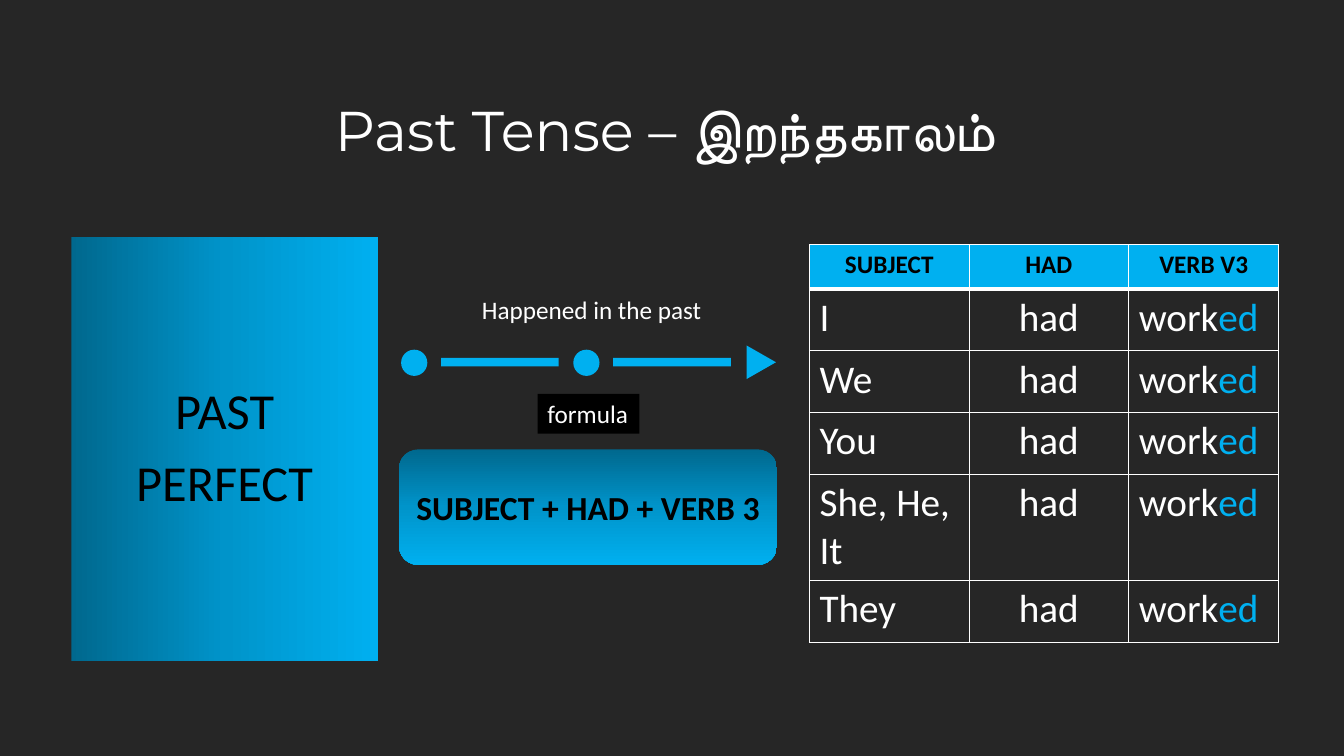
import copy
import dataclasses

import lxml.etree
import pptx
import pptx.dml.color
import pptx.enum.shapes
import pptx.enum.text
import pptx.oxml.ns
import pptx.util

PX = 9525
SHAPE = pptx.enum.shapes.MSO_SHAPE
ALIGN = pptx.enum.text.PP_ALIGN
ANCHOR = pptx.enum.text.MSO_ANCHOR
qn = pptx.oxml.ns.qn


@dataclasses.dataclass(frozen=True)
class Theme:
    """Colours, fonts and type sizes of the slide."""
    background: str = "262626"
    accent: str = "00B0F0"
    gradient: tuple = ("00688E", "0094CA", "00B0F0")
    dark: str = "000000"
    light: str = "FFFFFF"
    title_font: str = "Montserrat"
    body_font: str = "Calibri"
    title: int = 40
    tense: int = 36
    cell: int = 28
    formula: int = 24
    small: int = 18


THEME = Theme()


def rgb(value):
    """Return the colour for a hex string."""
    return pptx.dml.color.RGBColor.from_string(value)


def emu(box):
    """Turn a box in px into EMU lengths."""
    return [length * PX for length in box]


def add_run(paragraph, text, size, color, bold=False, font=THEME.body_font):
    """Add one formatted run to a paragraph."""
    run = paragraph.add_run()
    run.text = text
    run.font.name = font
    run.font.size = pptx.util.Pt(size)
    run.font.bold = bold
    run.font.color.rgb = rgb(color)


def add_plain_shape(shapes, preset, box, color):
    """Add a flat shape without outline or shadow."""
    shape = shapes.add_shape(preset, *emu(box))
    shape.shadow.inherit = False
    shape.line.fill.background()
    shape.fill.solid()
    shape.fill.fore_color.rgb = rgb(color)
    return shape


def add_gradient_shape(shapes, preset, box, angle):
    """Add a flat shape with the three-stop accent gradient."""
    shape = add_plain_shape(shapes, preset, box, THEME.accent)
    shape.fill.gradient()
    shape.fill.gradient_angle = angle
    first_stop = shape._element.spPr.find(".//" + qn("a:gs"))
    first_stop.addnext(copy.deepcopy(first_stop))
    for index, (stop, color) in enumerate(zip(shape.fill.gradient_stops, THEME.gradient)):
        stop.position = index / 2
        stop.color.rgb = rgb(color)
    return shape


def add_caption(slide, box, text, size, font=THEME.body_font):
    """Add one centred line of light text."""
    frame = slide.shapes.add_textbox(*emu(box)).text_frame
    frame.word_wrap = True
    caption = frame.paragraphs[0]
    caption.alignment = ALIGN.CENTER
    add_run(caption, text, size, THEME.light, font=font)


def add_tense_panel(slide, box, words):
    """Add the tall panel that names the tense."""
    panel = add_gradient_shape(slide.shapes, SHAPE.RECTANGLE, box, 0)
    frame = panel.text_frame
    frame.word_wrap = True
    frame.vertical_anchor = ANCHOR.MIDDLE
    for index, word in enumerate(words):
        line = frame.add_paragraph() if index else frame.paragraphs[0]
        line.alignment = ALIGN.CENTER
        line.line_spacing = 0.9
        line.space_after = pptx.util.Pt(12.6)
        add_run(line, word, THEME.tense, THEME.dark)


def add_timeline(slide, box):
    """Add two dot-and-bar steps that end in an arrowhead."""
    left, top, width, height = box
    step, dot, bar_width, bar_height = 164, 25, 112, 8
    middle = top + height // 2
    timeline = slide.shapes.add_group_shape().shapes
    for start in (left, left + step):
        add_plain_shape(timeline, SHAPE.OVAL,
                        (start, middle - dot // 2, dot, dot), THEME.accent)
        add_plain_shape(timeline, SHAPE.RECTANGLE,
                        (start + 38, middle - bar_height // 2, bar_width, bar_height), THEME.accent)
    tip_width, tip_height = 32, 28
    tip_box = (left + width - (tip_width + tip_height) // 2, middle - tip_height // 2,
               tip_width, tip_height)
    tip = add_plain_shape(timeline, SHAPE.ISOSCELES_TRIANGLE, tip_box, THEME.accent)
    tip.rotation = 90


def add_formula(slide, box):
    """Add the formula label and the rounded formula box below it."""
    left, top, width, height = box
    label_height, gap = 38, 15
    label = add_plain_shape(slide.shapes, SHAPE.RECTANGLE,
                            (left + 132, top, 97, label_height), THEME.dark)
    label.text_frame.word_wrap = False
    label_line = label.text_frame.paragraphs[0]
    label_line.alignment = ALIGN.LEFT
    add_run(label_line, "formula", THEME.small, THEME.light)

    offset = label_height + gap
    formula = add_gradient_shape(slide.shapes, SHAPE.ROUNDED_RECTANGLE,
                                 (left, top + offset, width, height - offset), 270)
    formula.text_frame.word_wrap = True
    formula.text_frame.vertical_anchor = ANCHOR.MIDDLE
    formula_line = formula.text_frame.paragraphs[0]
    formula_line.alignment = ALIGN.CENTER
    add_run(formula_line, "SUBJECT + HAD + VERB 3", THEME.formula, THEME.dark, bold=True)


def set_borders(cell, widths):
    """Draw light cell borders with the given widths in points."""
    properties = cell._tc.get_or_add_tcPr()
    for side, width in widths.items():
        line = lxml.etree.SubElement(properties, qn("a:ln" + side), w=str(pptx.util.Pt(width)))
        fill = lxml.etree.SubElement(line, qn("a:solidFill"))
        lxml.etree.SubElement(fill, qn("a:srgbClr"), val=THEME.light)


def add_verb_table(slide, box, subjects):
    """Add the table of subject, auxiliary and verb."""
    left, top, width, height = box
    header_height = 42
    row_height = (height - header_height) // len(subjects)
    body = [((subject,), ("had",), ("work", "ed")) for subject in subjects]
    rows = [(("SUBJECT",), ("HAD",), ("VERB V3",))] + body
    table = slide.shapes.add_table(len(rows), 3, *emu(box)).table
    table.horz_banding = False
    for column, column_width in zip(table.columns, (152, 152, width - 304)):
        column.width = column_width * PX
    for row_index, row in enumerate(rows):
        header = row_index == 0
        table.rows[row_index].height = (header_height if header else row_height) * PX
        for column_index, parts in enumerate(row):
            cell = table.cell(row_index, column_index)
            set_borders(cell, {"L": 1, "R": 1, "T": 3 if row_index == 1 else 1,
                               "B": 3 if header else 1})
            entry = cell.text_frame.paragraphs[0]
            entry.alignment = ALIGN.CENTER if header or column_index == 1 else ALIGN.LEFT
            if header:
                cell.fill.solid()
                cell.fill.fore_color.rgb = rgb(THEME.accent)
                add_run(entry, parts[0], THEME.small, THEME.dark, bold=True)
            else:
                cell.fill.background()
                for part, color in zip(parts, (THEME.light, THEME.accent)):
                    add_run(entry, part, THEME.cell, color)


def build_tense_slide(presentation):
    """Build the past perfect slide."""
    slide = presentation.slides.add_slide(presentation.slide_layouts[6])
    slide.background.fill.solid()
    slide.background.fill.fore_color.rgb = rgb(THEME.background)
    add_tense_panel(slide, (68, 226, 292, 404), ("PAST", "PERFECT"))
    add_formula(slide, (380, 375, 360, 163))
    add_verb_table(slide, (771, 233, 447, 337), ("I", "We", "You", "She, He, It", "They"))
    add_timeline(slide, (382, 329, 357, 32))
    add_caption(slide, (386, 276, 355, 38), "Happened in the past", THEME.small)
    add_caption(slide, (201, 86, 878, 74), "Past Tense – இறந்தகாலம் ", THEME.title, THEME.title_font)


def main():
    """Create and save the presentation."""
    presentation = pptx.Presentation()
    presentation.slide_width, presentation.slide_height = emu((1280, 720))
    build_tense_slide(presentation)
    presentation.save("out.pptx")


if __name__ == "__main__":
    main()
